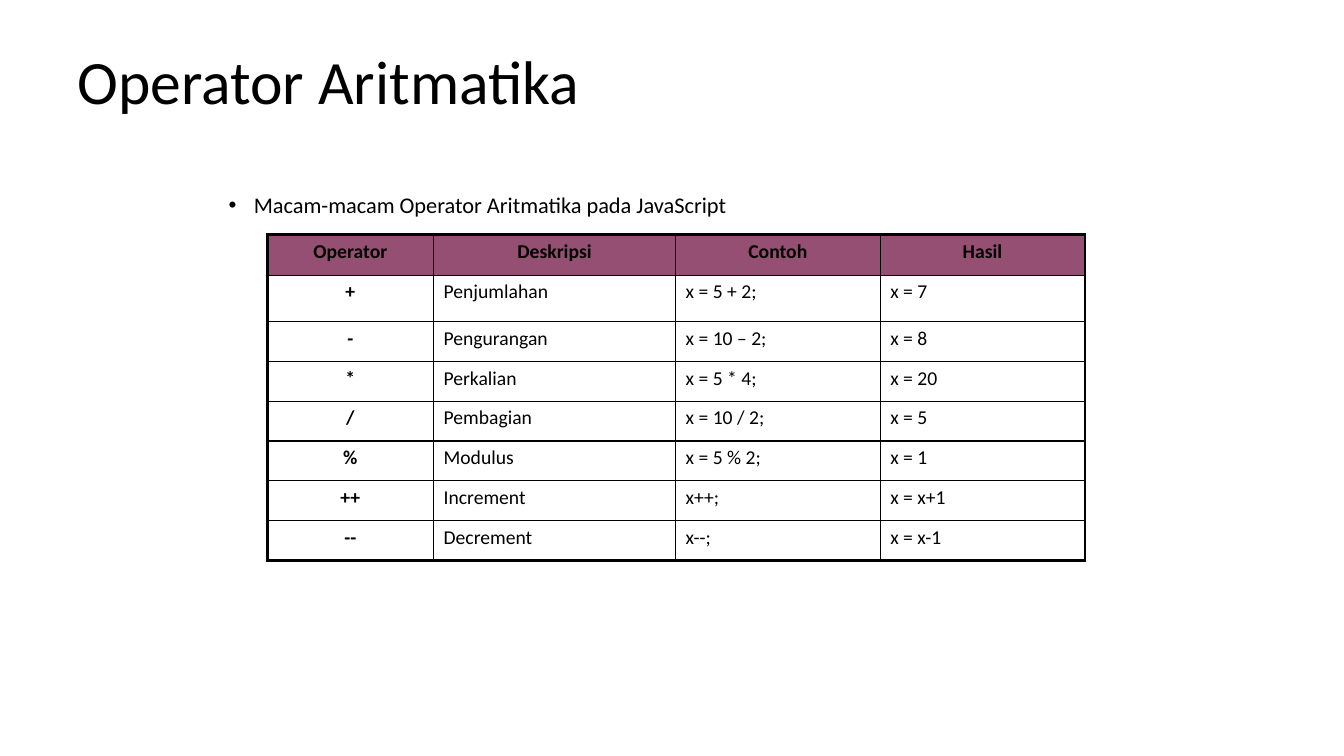
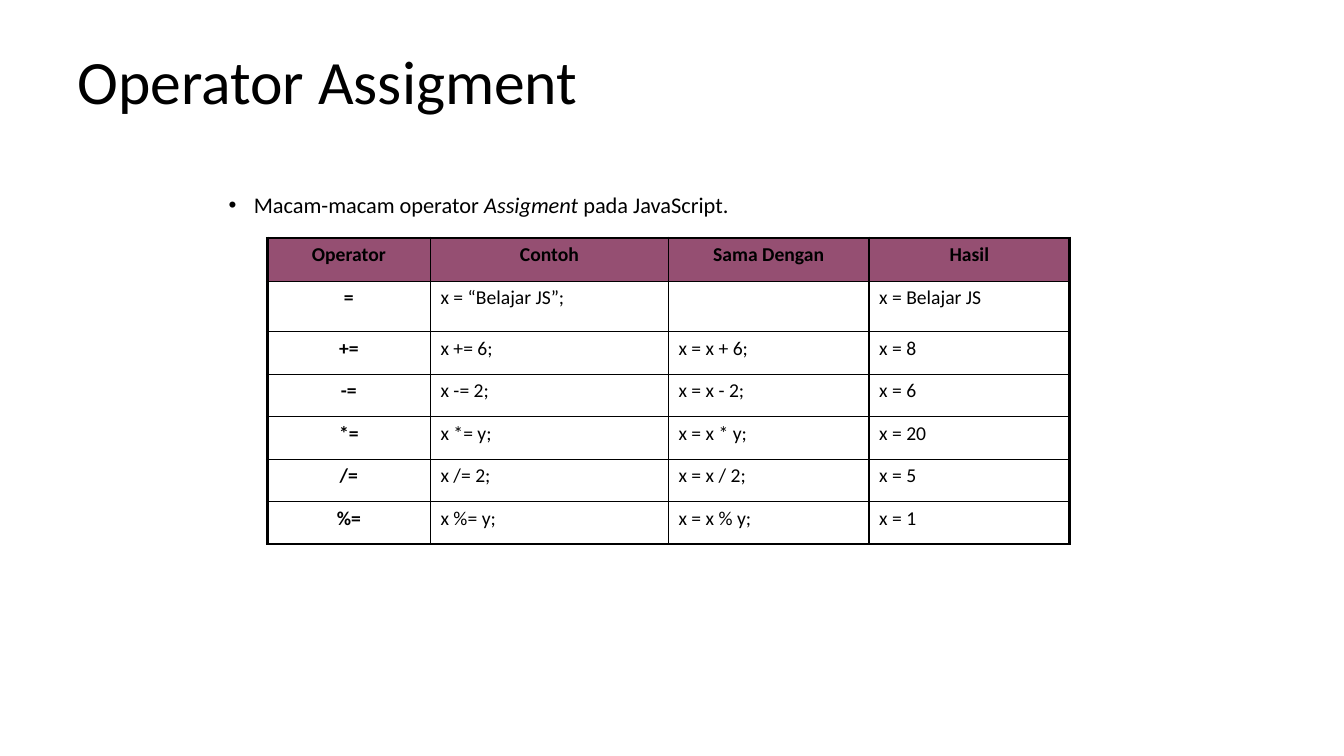
from lxml import etree
from pptx import Presentation
from pptx.dml.color import RGBColor as RGB
from pptx.enum.text import MSO_ANCHOR as ANCHOR, PP_ALIGN as ALIGN
from pptx.oxml.ns import qn
from pptx.util import Inches, Pt


class Deck:
    """Holds the shared style and the current slide."""

    COLORS = {"text": "000000", "border": "000000", "header": "954F72"}
    FONT = "Calibri"
    THIN, THICK = 1, 2.25

    def __init__(self):
        self.prs = Presentation()
        self.prs.slide_width = Inches(13.33)
        self.prs.slide_height = Inches(7.5)
        self.s = None

    def color(self, name):
        return RGB.from_string(self.COLORS[name])

    def style(self, r, size, bold=False, italic=False):
        r.font.name = self.FONT
        r.font.size = Pt(size)
        r.font.bold = bold
        r.font.italic = italic
        r.font.color.rgb = self.color("text")

    def text_box(self, left, top, width, height):
        box = self.s.shapes.add_textbox(
            Inches(left), Inches(top), Inches(width), Inches(height))
        tf = box.text_frame
        tf.word_wrap = True
        p = tf.paragraphs[0]
        p.line_spacing = 0.9
        return tf, p

    def slide(self, title):
        self.s = self.prs.slides.add_slide(self.prs.slide_layouts[6])
        tf, p = self.text_box(0.67, 0.13, 11, 1.42)
        tf.vertical_anchor = ANCHOR.MIDDLE
        p.text = title
        self.style(p.runs[0], 44)

    def bullet(self, height, *pieces):
        """Each piece is a (text, italic) pair."""
        _, p = self.text_box(2.17, 1.88, 9, height)
        pPr = p._p.get_or_add_pPr()
        pPr.set("marL", str(Inches(0.25)))
        pPr.set("indent", str(Inches(-0.25)))
        etree.SubElement(pPr, qn("a:buFont"), typeface="Arial")
        etree.SubElement(pPr, qn("a:buChar"), char="•")
        for text, italic in pieces:
            r = p.add_run()
            r.text = text
            self.style(r, 16, italic=italic)

    def borders(self, cell, **outer):
        """Draw thick lines on the sides at the table's edge, thin ones elsewhere."""
        tcPr = cell._tc.get_or_add_tcPr()
        for side in "LRTB":
            width = self.THICK if outer[side] else self.THIN
            ln = etree.SubElement(tcPr, qn(f"a:ln{side}"), w=str(Pt(width)))
            fill = etree.SubElement(ln, qn("a:solidFill"))
            etree.SubElement(fill, qn("a:srgbClr"), val=self.COLORS["border"])

    def table(self, top, height, col_widths, head_height, first_height, rows):
        n_rows, n_cols = len(rows), len(col_widths)
        rest = (height - head_height - first_height) / (n_rows - 2)
        row_heights = [head_height, first_height] + [rest] * (n_rows - 2)
        table = self.s.shapes.add_table(
            n_rows, n_cols, Inches(2.65), Inches(top),
            Inches(sum(col_widths)), Inches(height)).table
        table.first_row = table.horz_banding = False
        for col, width in zip(table.columns, col_widths):
            col.width = Inches(width)

        for i, (row, row_height) in enumerate(zip(rows, row_heights)):
            table.rows[i].height = Inches(row_height)
            for j, text in enumerate(row):
                cell = table.cell(i, j)
                self.borders(cell, L=j == 0, R=j == n_cols - 1,
                             T=i == 0, B=i == n_rows - 1)
                if i == 0:
                    cell.fill.solid()
                    cell.fill.fore_color.rgb = self.color("header")
                else:
                    cell.fill.background()
                heading = i == 0 or j == 0
                p = cell.text_frame.paragraphs[0]
                p.text = text
                p.alignment = ALIGN.CENTER if heading else ALIGN.LEFT
                for r in p.runs:
                    self.style(r, 14, bold=heading)


def main():
    deck = Deck()

    # Arithmetic operators
    deck.slide("Operator Aritmatika")
    deck.bullet(0.37, ("Macam-macam Operator Aritmatika pada JavaScript", False))
    deck.table(2.33, 3.23, [1.65, 2.4, 2.03, 2.03], 0.4, 0.46, [
        ("Operator", "Deskripsi", "Contoh", "Hasil"),
        ("+", "Penjumlahan", "x = 5 + 2;", "x = 7"),
        ("-", "Pengurangan", "x = 10 – 2;", "x = 8"),
        ("*", "Perkalian", "x = 5 * 4;", "x = 20"),
        ("/", "Pembagian", "x = 10 / 2;", "x = 5"),
        ("%", "Modulus", "x = 5 % 2;", "x = 1"),
        ("++", "Increment", "x++;", "x = x+1"),
        ("--", "Decrement", "x--;", "x = x-1"),
    ])

    # Assignment operators
    deck.slide("Operator Assigment")
    deck.bullet(0.45, ("Macam-macam operator ", False), ("Assigment", True),
                (" pada JavaScript.", False))
    deck.table(2.36, 3.04, [1.62, 2.36, 1.99, 1.99], 0.43, 0.5, [
        ("Operator", "Contoh", "Sama Dengan", "Hasil"),
        ("=", "x = “Belajar JS”;", "", "x = Belajar JS"),
        ("+=", "x += 6;", "x = x + 6;", "x = 8"),
        ("-=", "x -= 2;", "x = x - 2;", "x = 6"),
        ("*=", "x *= y;", "x = x * y;", "x = 20"),
        ("/=", "x /= 2;", "x = x / 2;", "x = 5"),
        ("%=", "x %= y;", "x = x % y;", "x = 1"),
    ])

    deck.prs.save("out.pptx")


if __name__ == "__main__":
    main()
